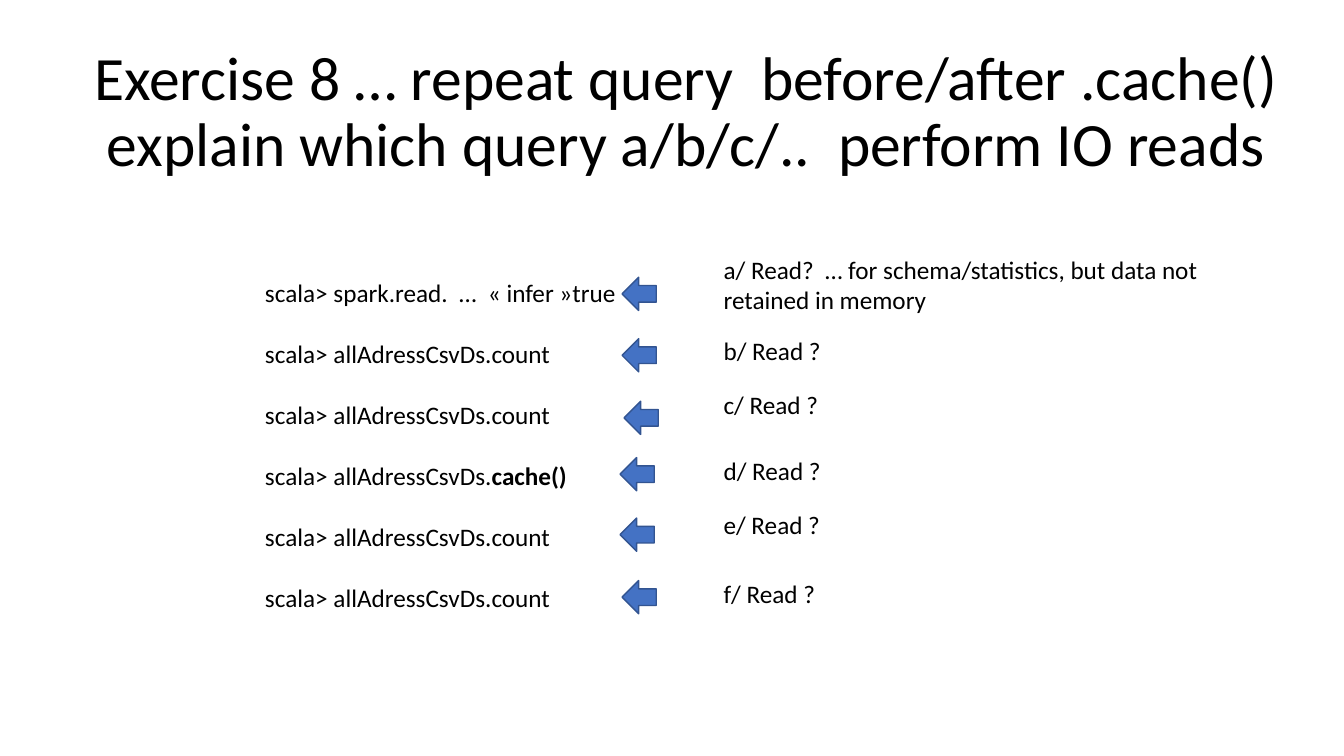
from pptx import Presentation
from pptx.dml.color import RGBColor
from pptx.enum.shapes import MSO_SHAPE
from pptx.enum.text import MSO_ANCHOR, MSO_AUTO_SIZE, PP_ALIGN
from pptx.util import Inches, Pt

THEME = {
    "font": "Calibri",
    "text": RGBColor(0x00, 0x00, 0x00),
    "arrow": RGBColor(0x44, 0x72, 0xC4),
    "arrow_line": RGBColor(0x32, 0x54, 0x91),
    "title_size": Pt(44),
    "body_size": Pt(18),
    "command_gap": Pt(22),
}

presentation = Presentation()
presentation.slide_width = Inches(13.33)
presentation.slide_height = Inches(7.5)
slide = presentation.slides.add_slide(presentation.slide_layouts[6])
column = presentation.slide_width / 100
row = presentation.slide_height / 100


def area(left, top, width, height):
    return int(left * column), int(top * row), int(width * column), int(height * row)


def add_text(box_area, paragraphs, size, wrap=True):
    frame = slide.shapes.add_textbox(*box_area).text_frame
    frame.word_wrap = wrap
    frame.auto_size = MSO_AUTO_SIZE.SHAPE_TO_FIT_TEXT
    for index, text in enumerate(paragraphs):
        paragraph = frame.paragraphs[0] if index == 0 else frame.add_paragraph()
        paragraph.text = text
        paragraph.font.name = THEME["font"]
        paragraph.font.size = size
        paragraph.font.color.rgb = THEME["text"]
    return frame


title = add_text(
    area(3.68, 5.33, 94.8, 19.33),
    ["Exercise 8 … repeat query  before/after .cache()\v"
     "explain which query a/b/c/..  perform IO reads"],
    THEME["title_size"],
)
title.auto_size = MSO_AUTO_SIZE.NONE
title.vertical_anchor = MSO_ANCHOR.MIDDLE
title.paragraphs[0].alignment = PP_ALIGN.CENTER
title.paragraphs[0].line_spacing = 0.9

count = "scala> allAdressCsvDs.count"
commands = add_text(
    area(18.98, 36, 27.9, 49.87),
    ["scala> spark.read.  …  « infer »true", count, count,
     "scala> allAdressCsvDs.", count, count],
    THEME["body_size"],
    wrap=False,
)
for paragraph in commands.paragraphs[1:]:
    paragraph.space_before = THEME["command_gap"]
cache_call = commands.paragraphs[3].add_run()
cache_call.text = "cache()"
cache_call.font.bold = True

questions = [
    ("a/ Read?  … for schema/statistics, but data not retained in memory",
     32.93, 9.47, 46.28, 36.67),
    ("b/ Read ?", 43.73, 5.33, 46.28, 44.8),
    ("c/ Read ?", 50.8, 5.33, 46.43, 53.07),
    ("d/ Read ?", 59.6, 5.33, 46.13, 60.53),
    ("e/ Read ?", 66.67, 5.33, 46.13, 68.53),
    ("f/ Read ?", 75.87, 5.33, 46.28, 76.8),
]
for question, top, height, arrow_left, arrow_top in questions:
    add_text(area(53.1, top, 37.35, height), [question], THEME["body_size"])
    arrow = slide.shapes.add_shape(
        MSO_SHAPE.LEFT_ARROW, *area(arrow_left, arrow_top, 2.55, 4.4))
    arrow.shadow.inherit = False
    arrow.fill.solid()
    arrow.fill.fore_color.rgb = THEME["arrow"]
    arrow.line.color.rgb = THEME["arrow_line"]
    arrow.line.width = Pt(1)

presentation.save("out.pptx")
